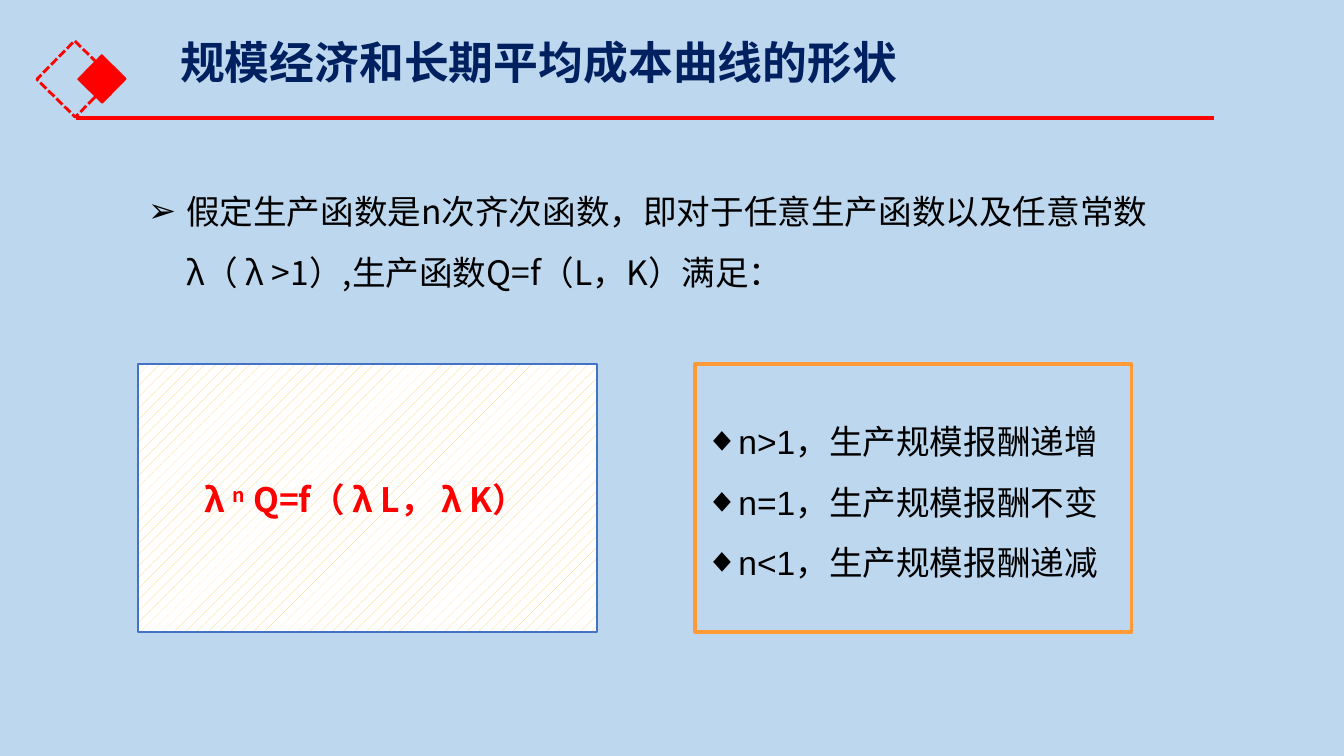
from lxml import etree
from pptx import Presentation
from pptx import util as u
from pptx.dml.color import RGBColor
from pptx.enum import dml, shapes, text
from pptx.oxml.ns import qn

PX = u.Inches(1) / 100.8
HUES = {"sky": "BDD7EE", "red": "FF0000", "navy": "002060", "black": "000000",
        "blue": "4472C4", "orange": "FF9B37", "sand": "FFCC66", "white": "FFFFFF"}
SANS = "Noto Sans CJK SC"


def px(n):
    return u.Emu(round(n * PX))


def hue(name):
    return RGBColor.from_string(HUES[name])


def place(item, box):
    item.left, item.top, item.width, item.height = map(px, box)


def style(para, size, color, face=SANS, bold=False):
    font = para.font
    font.size, font.bold, font.name = u.Pt(size), bold, face
    font.color.rgb = hue(color)
    # East Asian characters need their own typeface entry
    props = para._p.pPr.find(qn("a:defRPr"))
    etree.SubElement(props, qn("a:ea"), typeface=SANS)


def rect(slide, box, line, width, turn=0):
    item = slide.shapes.add_shape(shapes.MSO_SHAPE.RECTANGLE, *map(px, box))
    item.shadow.inherit = False
    item.rotation = turn
    item.fill.background()
    item.line.color.rgb = hue(line)
    item.line.width = u.Pt(width)
    return item


def rule(slide, start, end):
    item = slide.shapes.add_connector(
        shapes.MSO_CONNECTOR.STRAIGHT, *map(px, start + end))
    item.line.color.rgb = hue("red")
    item.line.width = u.Pt(2.25)
    etree.SubElement(item._element.spPr, qn("a:effectLst"))


def title(slide, box, words):
    item = slide.shapes.title
    place(item, box)
    frame = item.text_frame
    frame.text = words
    frame.auto_size = text.MSO_AUTO_SIZE.NONE
    frame.vertical_anchor = text.MSO_ANCHOR.TOP
    frame.margin_top = 0
    para = frame.paragraphs[0]
    para.alignment = text.PP_ALIGN.LEFT
    para.line_spacing = 0.9
    style(para, 32, "navy", bold=True)


def bullets(item, box, lines, mark, indent, face):
    place(item, box)
    frame = item.text_frame
    frame.text = "\n".join(lines)
    frame.auto_size = text.MSO_AUTO_SIZE.NONE
    for para in frame.paragraphs:
        para.line_spacing = 1.5
        para.space_before = u.Pt(0)
        props = para._p.get_or_add_pPr()
        props.set("marL", str(px(indent)))
        props.set("indent", str(-px(indent)))
        etree.SubElement(props, qn("a:buFont"), typeface="Arial")
        etree.SubElement(props, qn("a:buChar"), char=mark)
        style(para, 24, "black", face)


def formula(slide, box, parts):
    frame = slide.shapes.add_textbox(*map(px, box)).text_frame
    frame.word_wrap = True
    para = frame.paragraphs[0]
    for words, lift in parts:
        run = para.add_run()
        run.text = words
        if lift:
            run.font._element.set("baseline", str(lift * 1000))
    style(para, 24, "red", bold=True)


def main():
    deck = Presentation()
    deck.slide_width, deck.slide_height = px(1344), px(756)
    slide = deck.slides.add_slide(deck.slide_layouts[3])
    back = slide.background.fill
    back.solid()
    back.fore_color.rgb = hue("sky")

    # Heading with its diamonds and rule
    frame = rect(slide, (48, 52, 54, 54), "red", 2, 314.5)
    frame.line.dash_style = dml.MSO_LINE.SQUARE_DOT
    gem = rect(slide, (85, 62, 34, 34), "red", 1, 314.5)
    gem.fill.solid()
    gem.fill.fore_color.rgb = hue("red")
    rule(slide, (76, 118), (1214, 118))
    title(slide, (170, 41, 1159, 96), "规模经济和长期平均成本曲线的形状")

    # Assumption
    bullets(slide.placeholders[1], (138, 166, 1027, 125),
            ["假定生产函数是n次齐次函数，即对于任意生产函数以及任意常数λ（ λ >1）,"
             "生产函数Q=f（L，K）满足："], "➢", 38, SANS)

    # Formula panel
    panel = rect(slide, (138, 364, 459, 268), "blue", 1.75)
    panel.fill.patterned()
    panel.fill.pattern = dml.MSO_PATTERN.PERCENT_10
    panel.fill.fore_color.rgb = hue("sand")
    panel.fill.back_color.rgb = hue("white")
    formula(slide, (195, 474, 360, 50),
            [("λ ", 0), ("n", 30), (" Q=f（ λ L， λ K）", 0)])

    # Returns to scale panel
    rect(slide, (695, 364, 437, 268), "orange", 2.25)
    bullets(slide.placeholders[2], (695, 396, 437, 194),
            [f"n{sign}1，生产规模报酬{trend}" for sign, trend in
             ((">", "递增"), ("=", "不变"), ("<", "递减"))], "◆", 31, "Arial")

    deck.save("out.pptx")


if __name__ == "__main__":
    main()
